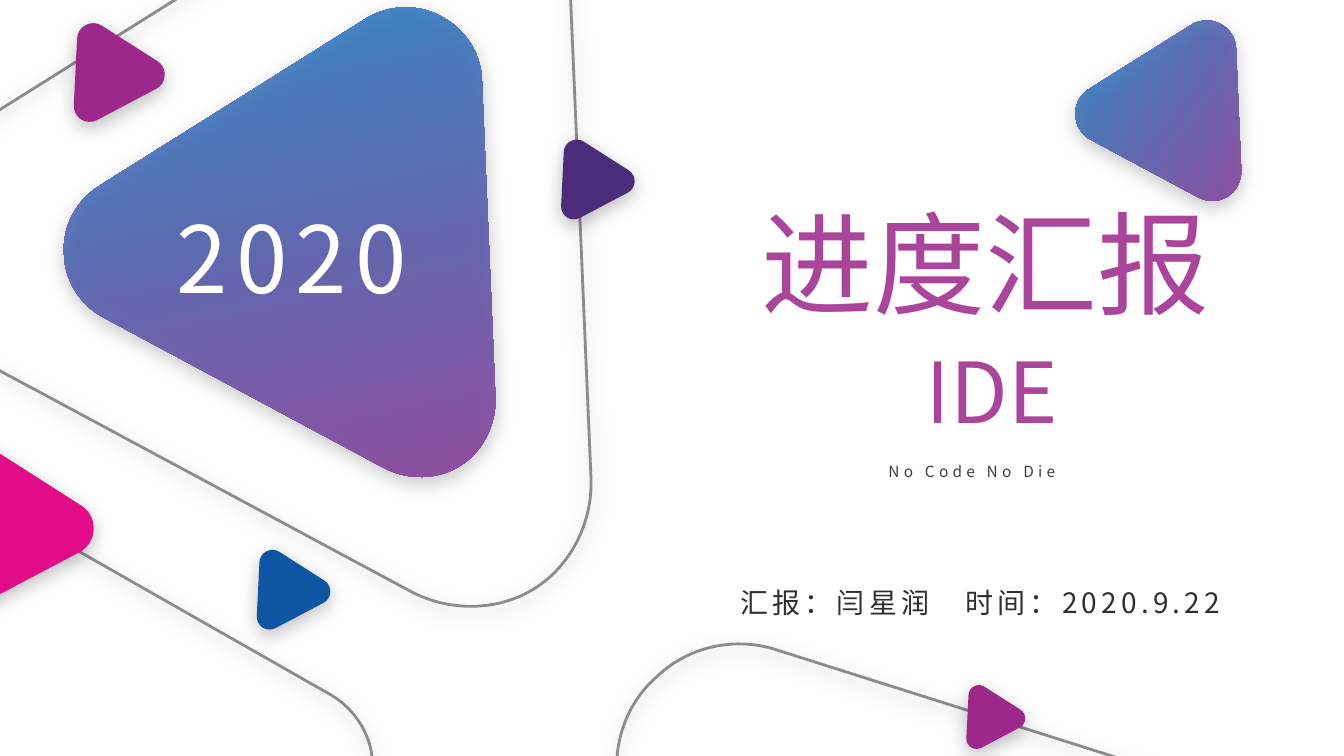
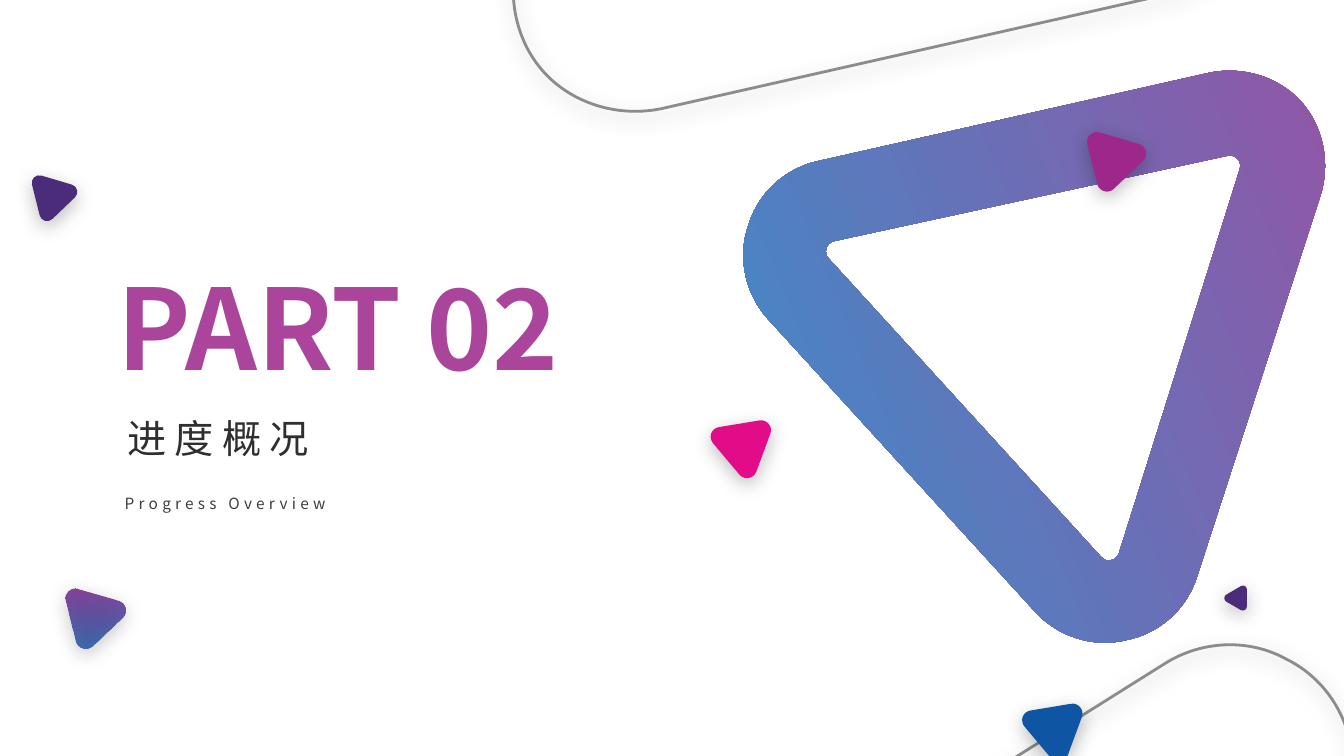
from lxml import etree
from pptx import Presentation
from pptx.dml.color import RGBColor
from pptx.enum.text import MSO_ANCHOR, MSO_AUTO_SIZE, PP_ALIGN
from pptx.oxml.ns import qn
from pptx.util import Pt

TOP, MIDDLE = MSO_ANCHOR.TOP, MSO_ANCHOR.MIDDLE
LEFT, CENTER = PP_ALIGN.LEFT, PP_ALIGN.CENTER
NO_AUTOFIT = MSO_AUTO_SIZE.NONE

FONT = "Noto Sans CJK SC"
COLORS = {
    "purple": "9E278B", "pink": "E20B88", "violet": "4A2C7B", "blue": "0E55A3",
    "sky": "1580C4", "outline": "8C8C8C", "shadow": "000000",
    "white": "FFFFFF", "dark": "2F2F2F", "gray": "3F3F3F",
}
GRADIENTS = {
    "fade": ((("purple", 85), ("sky", 85)), 110),
    "mirrored fade": ((("purple", 85), ("sky", 85)), 70),
    "deep fade": ((("purple", 92), ("blue", 82)), 130),
}

HEIGHT_RATIO = 0.904
HOLE_CORNER_SCALE = 0.11
APEX_CENTER, BASE_CENTER = (50, 17.8), (83.9, 82.2)
APEX_HALF = [(50, 0), (55.6, 0), (61, 3.6), (63.9, 9.1)]
BASE_CORNER = [(96.9, 73.2), (99.9, 78.7), (99.9, 85.7), (96.9, 91.1),
               (94.2, 96.6), (88.8, 100), (83.1, 100)]
SEGMENTS = "CLCCLCCLC"

SLIDES = [
    {
        "triangles": [
            (-80.6, 382.3, 364.3, 90, "outline"),
            (448.6, 444.2, 545, 77.9, "outline"),
            (-21.6, -34.6, 545, 147.9, "outline"),
            (77.8, 49.7, 339.1, 147.9, "fade"),
            (39.6, 25.9, 71.3, 212.5, "purple"),
            (-64.8, 331.2, 120.2, 212.5, "pink"),
            (390.2, 107.3, 57.6, 212.5, "violet"),
            (172.8, 400.3, 57.6, 212.5, "blue"),
            (780.5, 31.7, 130.3, 147.9, "mirrored fade"),
            (681.8, 495.4, 46.1, 212.5, "purple"),
        ],
        "title": dict(text="进度汇报", box=(445.7, 146.2, 516.2, 125.3), size=80,
                      color="fade", align=CENTER, line_spacing=0.9),
        "subtitle": dict(text="IDE", box=(457.2, 247, 502.6, 91.4), size=60,
                         color="fade", align=CENTER, line_spacing=0.9),
        "labels": [
            dict(text="2020", box=(119, 149, 262.8, 125.3), size=66,
                 color="white", line_spacing=0.9, tracking=6),
            dict(text="No Code No Die", box=(627.5, 319.7, 157, 25.2), size=11,
                 color="gray", line_spacing=1.5, tracking=3),
            dict(text="汇报：闫星润\t时间：2020.9.22", box=(521.7, 417.6, 399.6, 36.7),
                 size=20, color="dark", line_spacing=0.9, tracking=3, tab=160.7),
        ],
    },
    {
        "ring": (573.1, 9.4, 427, 47.6, "fade"),
        "triangles": [
            (876.2, 417.6, 18, 30, "violet"),
            (504.7, 296.6, 43.9, 290.3, "pink"),
            (770.4, 90.7, 43.9, 316.2, "purple"),
            (537.8, 532.1, 545, 147.9, "outline"),
            (298.1, -360.7, 545, 227.6, "outline"),
            (727.2, 499, 43.9, 290.3, "blue"),
            (41, 416.9, 43.9, 316.2, "deep fade"),
            (18, 122.4, 33.8, 316.2, "violet"),
        ],
        "title": dict(text="PART 02", box=(76.3, 180.7, 424.1, 104.4), size=80,
                      color="fade", bold=True, anchor=MIDDLE),
        "subtitle": dict(text="进度概况", box=(76.1, 296.3, 159.1, 36.7), size=28,
                         color="dark", align=CENTER, line_spacing=0.9, tracking=6),
        "labels": [
            dict(text="Progress Overview", box=(63, 342.7, 195.8, 25.2), size=11,
                 color="gray", align=CENTER, line_spacing=1.5, tracking=3),
        ],
    },
]


def rgb(name):
    return RGBColor.from_string(COLORS[name])


def set_alpha(color_element, percent):
    etree.SubElement(color_element, qn("a:alpha"), val=str(percent * 1000))


def paint(fill, element, name):
    if name not in GRADIENTS:
        fill.solid()
        fill.fore_color.rgb = rgb(name)
        return
    stops, angle = GRADIENTS[name]
    fill.gradient()
    fill.gradient_angle = 360 - angle
    for stop, (color, _) in zip(fill.gradient_stops, stops):
        stop.color.rgb = rgb(color)
    for color_element, (_, alpha) in zip(element.xpath(".//a:gs/a:srgbClr"), stops):
        set_alpha(color_element, alpha)


def add_shadow(shape):
    effects = shape._element.spPr.find(qn("a:effectLst"))
    shadow = etree.SubElement(effects, qn("a:outerShdw"), blurRad=str(Pt(14)),
                              dist=str(Pt(4)), dir="5400000", rotWithShape="0")
    set_alpha(etree.SubElement(shadow, qn("a:srgbClr"), val=COLORS["shadow"]), 25)


def scale_corner(points, center, scale):
    return [tuple(c + scale * (p - c) for p, c in zip(point, center)) for point in points]


def rounded_triangle(left, top, width, corner_scale=1):
    right = (scale_corner(APEX_HALF, APEX_CENTER, corner_scale)
             + scale_corner(BASE_CORNER, BASE_CENTER, corner_scale))
    outline = right + [(100 - x, y) for x, y in reversed(right)]
    unit = width / 100
    return [(Pt(left + x * unit), Pt(top + y * unit * HEIGHT_RATIO)) for x, y in outline]


def bend_corners(shape, contours):
    lines = iter(shape._element.xpath(".//a:lnTo"))
    for segment in SEGMENTS * contours:
        line = next(lines)
        if segment == "C":
            curve = etree.Element(qn("a:cubicBezTo"))
            line.addprevious(curve)
            for point_line in (line, next(lines), next(lines)):
                curve.append(point_line[0])
                point_line.getparent().remove(point_line)


def add_triangle(slide, left, top, width, rotation, style, ring=False):
    contours = [rounded_triangle(left, top, width)]
    if ring:
        contours.append(rounded_triangle(left, top, width, HOLE_CORNER_SCALE)[::-1])
    builder = slide.shapes.build_freeform(*contours[0][0])
    builder.add_line_segments(contours[0][1:])
    for hole in contours[1:]:
        builder.move_to(*hole[0])
        builder.add_line_segments(hole[1:])
    shape = builder.convert_to_shape()
    bend_corners(shape, len(contours))
    shape.rotation = rotation
    shape.shadow.inherit = False
    if style == "outline":
        shape.fill.background()
        shape.line.color.rgb = rgb(style)
        shape.line.width = Pt(2)
    else:
        paint(shape.fill, shape._element, style)
        shape.line.fill.background()
    if not ring:
        add_shadow(shape)


def write_text(shape, text, box, size, color, align=LEFT, line_spacing=1.0,
               tracking=0, bold=False, anchor=TOP, tab=None):
    shape.left, shape.top, shape.width, shape.height = map(Pt, box)
    frame = shape.text_frame
    frame.word_wrap = True
    frame.auto_size = NO_AUTOFIT
    frame.vertical_anchor = anchor
    frame.text = text
    paragraph = frame.paragraphs[0]
    paragraph.alignment = align
    paragraph.line_spacing = line_spacing
    paragraph.space_before = Pt(0)
    if tab:
        tabs = etree.SubElement(paragraph._p.get_or_add_pPr(), qn("a:tabLst"))
        etree.SubElement(tabs, qn("a:tab"), pos=str(Pt(tab)), algn="l")
    for run in paragraph.runs:
        run.font.size = Pt(size)
        run.font.bold = bold
        run.font.name = FONT
        paint(run.font.fill, run._r, color)
        properties = run._r.get_or_add_rPr()
        properties.set("spc", str(tracking * 100))
        east_asian = etree.Element(qn("a:ea"), typeface=FONT)
        properties.find(qn("a:latin")).addnext(east_asian)


def build_slide(presentation, content):
    slide = presentation.slides.add_slide(presentation.slide_layouts[0])
    write_text(slide.shapes.title, **content["title"])
    write_text(slide.placeholders[1], **content["subtitle"])
    if "ring" in content:
        add_triangle(slide, *content["ring"], ring=True)
    for triangle in content["triangles"]:
        add_triangle(slide, *triangle)
    for label in content["labels"]:
        write_text(slide.shapes.add_textbox(*map(Pt, label["box"])), **label)


def main():
    presentation = Presentation()
    presentation.slide_width = Pt(960)
    presentation.slide_height = Pt(540)
    for content in SLIDES:
        build_slide(presentation, content)
    presentation.save("out.pptx")


if __name__ == "__main__":
    main()
